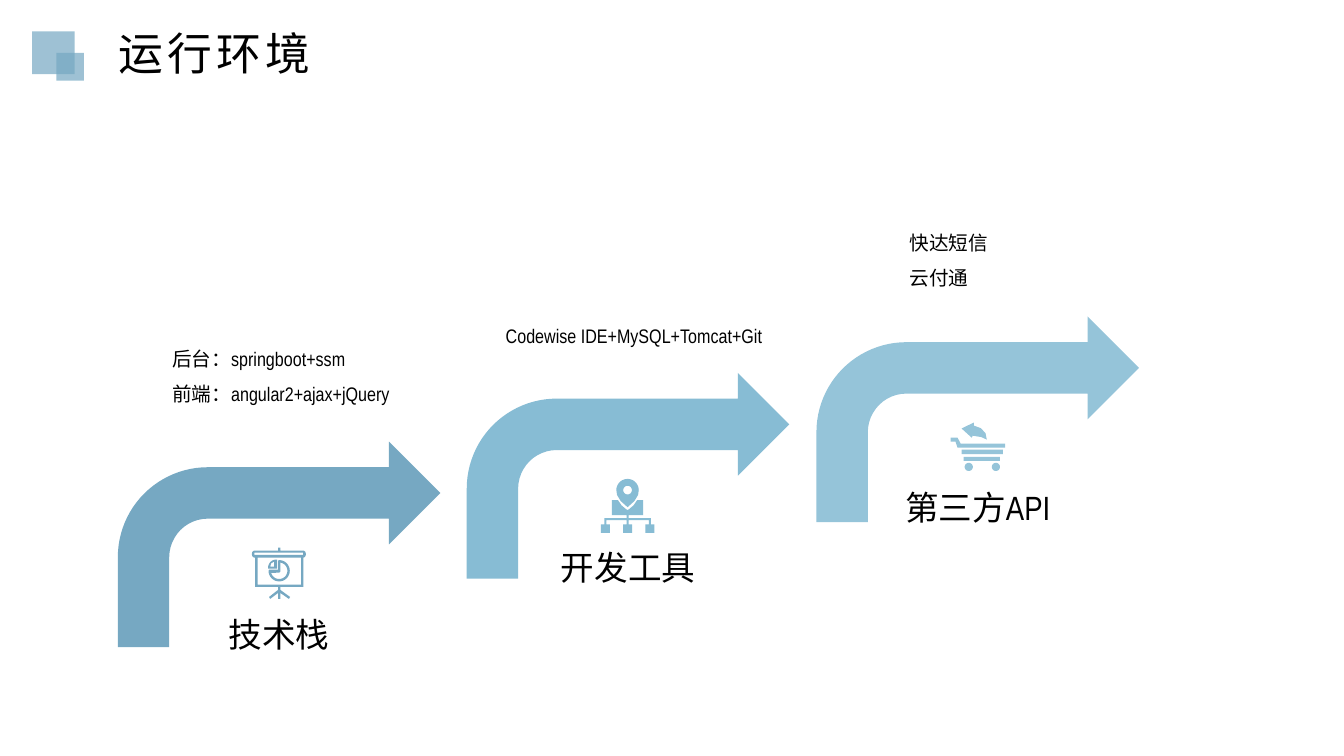
from dataclasses import dataclass
from math import cos, radians, sin

from lxml import etree
from pptx import Presentation
from pptx.dml.color import RGBColor
from pptx.enum.shapes import MSO_SHAPE
from pptx.enum.text import MSO_ANCHOR, MSO_AUTO_SIZE, PP_ALIGN
from pptx.oxml.ns import qn
from pptx.util import Pt

RECT, BENT = MSO_SHAPE.RECTANGLE, MSO_SHAPE.BENT_ARROW
TOP, MIDDLE = MSO_ANCHOR.TOP, MSO_ANCHOR.MIDDLE
LEFT, CENTER = PP_ALIGN.LEFT, PP_ALIGN.CENTER
GROW, FIXED = MSO_AUTO_SIZE.SHAPE_TO_FIT_TEXT, MSO_AUTO_SIZE.NONE

Point = tuple[float, float]
Ring = list[Point]
Box = tuple[float, float, float, float]


@dataclass(frozen=True)
class Theme:
    font: str = "Arial Narrow"
    ink: str = "000000"
    deep: str = "76A8C2"
    mid: str = "87BCD4"
    pale: str = "95C4D9"
    title: float = 32
    label: float = 24
    note: float = 14
    veil: int = 70


@dataclass(frozen=True)
class Step:
    left: float
    top: float
    color: str
    icon: list[Ring]
    label: str
    drop: float
    note: list[str]
    frame: Box


THEME = Theme()
ARROW = (230.4, 146.9)
ICON = (95.8, 75.7)
LABEL = (40.3, 149.8, 71.3)


def box(x: float, y: float, w: float, h: float) -> Ring:
    return [(x, y), (x + w, y), (x + w, y + h), (x, y + h)]


def arc(x: float, y: float, r: float, start: int, end: int) -> Ring:
    """Points on a circle from start to end degrees, clockwise from the right."""
    count = max(4, abs(end - start) // 10)
    turns = [radians(start + (end - start) * i / count) for i in range(count + 1)]
    return [(x + r * cos(t), y + r * sin(t)) for t in turns]


def disc(x: float, y: float, r: float) -> Ring:
    return arc(x, y, r, 0, 360)


def pill(x: float, y: float, w: float, h: float, r: float) -> Ring:
    """A box with rounded corners."""
    return (arc(x + r, y + r, r, 180, 270) + arc(x + w - r, y + r, r, 270, 360)
            + arc(x + w - r, y + h - r, r, 0, 90) + arc(x + r, y + h - r, r, 90, 180))


def board() -> list[Ring]:
    pie = arc(19.4, 16.6, 7.6, -90, 180) + [(12.3, 15.8), (18.7, 15.8), (18.7, 9.4)]
    core = arc(19.4, 16.6, 5.9, -82, 166) + [(19.4, 18), (20.2, 17.3)]
    slice_ = arc(17.3, 14.4, 5.8, 180, 270) + [(18, 8.6), (18, 15.1), (11.5, 15.1)]
    gap = [(15.8, 10.1), (13.7, 11.2), (13, 13.7), (15.8, 13.7)]
    legs = [(18.7, 28.1), (20.2, 28.1), (20.2, 30.2), (27.2, 35.3), (26.4, 36.7),
            (20.2, 32.4), (20.2, 36.7), (18.7, 36.7), (18.7, 32.4), (13, 36.7),
            (12.2, 35.3), (18.7, 30.2)]
    return [pill(0, 2.2, 38.4, 5, 2), box(1.8, 3.6, 34.8, 1.6),
            box(2.2, 7.2, 34.5, 20.9), box(4, 7.2, 31, 19.3),
            box(18.7, 0, 1.5, 2.2), legs, pie, core, slice_, gap]


def chart() -> list[Ring]:
    house = [(7.9, 15.1), (12.2, 15.1), (14.8, 18.9), (18, 21.6), (19.1, 22.3),
             (20.2, 21.6), (23.4, 18.9), (26, 15.1), (30.2, 15.1), (30.2, 25.9),
             (7.9, 25.9)]
    pin = arc(19.1, 8, 8, 180, 360) + [
        (26.6, 11.5), (24, 15.8), (19.1, 20.2), (14.2, 15.8), (11.6, 11.5)]
    rings = [house, pin, disc(19.1, 8, 3.1), box(18.4, 25.9, 1.5, 2.2),
             box(2.5, 28.1, 33.2, 1.4)]
    for x in (0, 15.9, 31.8):
        rings += [box(x + 2.5, 29.5, 1.4, 2.9), box(x, 32.4, 6.4, 6.2)]
    return rings


def cart() -> list[Ring]:
    rail = [(0, 10.8), (5, 10.8), (7.2, 15.1), (38.9, 15.1), (38.9, 18),
            (5, 18), (3.6, 13.7), (0, 13.7)]
    back = [(16.6, 0), (16.6, 2.2), (21.6, 4), (25, 7.6), (25.9, 12.2),
            (22, 10.4), (15.8, 9.4), (15.1, 10.8), (7.9, 4.3)]
    return [back, rail, box(7.9, 19.4, 29.5, 3.2), box(9.4, 24.5, 25.9, 2.9),
            disc(13, 31.7, 2.9), disc(32.4, 31.7, 2.9)]


STEPS = [
    Step(84.2, 315.4, THEME.deep, board(), "技术栈", 101.5,
         ["后台：springboot+ssm", "前端：angular2+ajax+jQuery"],
         (115.9, 235.8, 198.7, 58.3)),
    Step(333.4, 266.4, THEME.mid, chart(), "开发工具", 103,
         ["Codewise IDE+MySQL+Tomcat+Git"], (354.2, 219.6, 252, 29.5)),
    Step(583.2, 226.1, THEME.pale, cart(), "第三方API", 100.1,
         ["快达短信", "云付通"], (642.6, 152.9, 198, 55.4)),
]


def paint(shape, color: str, alpha: int = 100) -> None:
    """Give a flat fill, with alpha as percent opacity."""
    shape.shadow.inherit = False
    shape.fill.solid()
    shape.fill.fore_color.rgb = RGBColor.from_string(color)
    shape.line.fill.background()
    if alpha < 100:
        tone = next(shape._element.spPr.iter(qn("a:srgbClr")))
        etree.SubElement(tone, qn("a:alpha"), val=str(alpha * 1000))


def block(slide, kind: int, frame: Box, color: str, alpha: int = 100) -> None:
    paint(slide.shapes.add_shape(kind, *map(Pt, frame)), color, alpha)


def trace(slide, rings: list[Ring], left: float, top: float, color: str) -> None:
    """Draw rings as one outline, where inner rings cut holes."""
    paths = [[(Pt(left + x), Pt(top + y)) for x, y in ring] for ring in rings]
    pen = slide.shapes.build_freeform(*paths[0][0])
    pen.add_line_segments(paths[0][1:])
    for path in paths[1:]:
        pen.move_to(*path[0])
        pen.add_line_segments(path[1:])
    paint(pen.convert_to_shape(), color)


def write(slide, lines: list[str], frame: Box, size: float, look: dict,
          align: int = LEFT, pitch: float = 1.0, track: int = 0) -> None:
    """Add a text box; look holds text frame values, track is in points."""
    text = slide.shapes.add_textbox(*map(Pt, frame)).text_frame
    for name, value in look.items():
        setattr(text, name, value)
    for i, line in enumerate(lines):
        para = text.add_paragraph() if i else text.paragraphs[0]
        para.alignment, para.line_spacing = align, pitch
        run = para.add_run()
        run.text = line
        style = {"name": THEME.font, "size": Pt(size)}
        for name, value in style.items():
            setattr(run.font, name, value)
        run.font.color.rgb = RGBColor.from_string(THEME.ink)
        if track:
            run._r.get_or_add_rPr().set("spc", str(track * 100))


def main() -> None:
    deck = Presentation()
    deck.slide_width, deck.slide_height = Pt(960), Pt(540)
    slide = deck.slides.add_slide(deck.slide_layouts[6])
    flow = {"word_wrap": True, "auto_size": GROW, "vertical_anchor": TOP}
    tight = {"word_wrap": False, "auto_size": FIXED, "vertical_anchor": MIDDLE}
    tight |= {f"margin_{side}": 0 for side in ("left", "top", "right", "bottom")}

    for x, y, size in ((22.9, 22.5, 30.5), (40.2, 37.8, 19.8)):
        block(slide, RECT, (x, y, size, size), THEME.deep, THEME.veil)
    write(slide, ["运行环境"], (77.4, 14.8, 189.4, 46.1), THEME.title, flow, track=3)

    for step in STEPS:
        block(slide, BENT, (step.left, step.top, *ARROW), step.color)
        trace(slide, step.icon, step.left + ICON[0], step.top + ICON[1], step.color)
        shift, width, height = LABEL
        spot = (step.left + shift, step.top + step.drop, width, height)
        write(slide, [step.label], spot, THEME.label, tight, CENTER)
        write(slide, step.note, step.frame, THEME.note, flow, pitch=1.5)
    deck.save("out.pptx")


if __name__ == "__main__":
    main()
